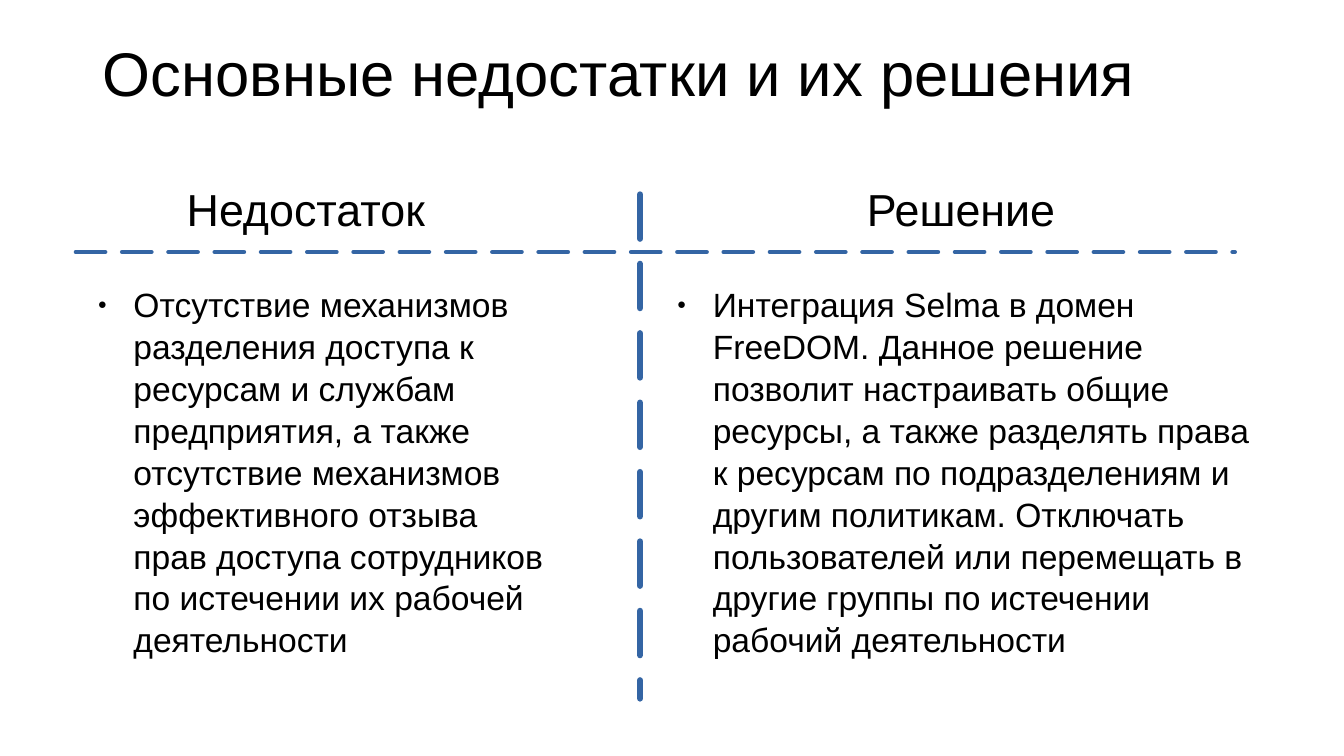
import pptx
import pptx.util
import pptx.dml.color
import pptx.enum.dml
import pptx.enum.shapes
import pptx.enum.text
import lxml.etree
from pptx.util import Cm


def color(value):
    return pptx.dml.color.RGBColor.from_string(value)


def fill_placeholder(box, text, size, left, top, width, height, anchor):
    box.left, box.top, box.width, box.height = Cm(left), Cm(top), Cm(width), Cm(height)
    frame = box.text_frame
    frame.text = text
    frame.word_wrap = True
    frame.auto_size = pptx.enum.text.MSO_AUTO_SIZE.NONE
    frame.vertical_anchor = anchor
    para = frame.paragraphs[0]
    para.alignment = pptx.enum.text.PP_ALIGN.LEFT
    para.space_before = pptx.util.Pt(0)
    font = para.runs[0].font
    font.name = "Arial"
    font.size = pptx.util.Pt(size)
    font.bold = False
    font.color.rgb = color("000000")
    return para


TOP = pptx.enum.text.MSO_ANCHOR.TOP
MIDDLE = pptx.enum.text.MSO_ANCHOR.MIDDLE

deck = pptx.Presentation()
deck.slide_width = Cm(33.87)
deck.slide_height = Cm(19.05)
page = deck.slides.add_slide(deck.slide_layouts.get_by_name("Comparison"))
title, left_heading, left_body, right_heading, right_body = list(page.placeholders)[:5]

fill_placeholder(title, "Основные недостатки и их решения", 44, 2.33, -0.03, 29.21, 3.68, MIDDLE)

columns = [
    (left_heading, "Недостаток", 4.45, 6.99, left_body, 1.91, 12.07,
     "Отсутствие механизмов разделения доступа к ресурсам и службам предприятия, "
     "а также отсутствие механизмов эффективного отзыва прав доступа сотрудников "
     "по истечении их рабочей деятельности"),
    (right_heading, "Решение", 21.59, 6.35, right_body, 16.51, 15.24,
     "Интеграция Selma в домен FreeDOM. Данное решение позволит настраивать общие "
     "ресурсы, а также разделять права к ресурсам по подразделениям и другим "
     "политикам. Отключать пользователей или перемещать в другие группы по "
     "истечении рабочий деятельности"),
]

for heading, name, name_left, name_width, body, body_left, body_width, text in columns:
    fill_placeholder(heading, name, 32, name_left, 4.45, name_width, 1.91, TOP)
    para = fill_placeholder(body, text, 24, body_left, 6.99, body_width, 8.74, TOP)
    para.line_spacing = 1.04
    settings = para._p.get_or_add_pPr()
    settings.set("marL", str(Cm(1.2)))
    settings.set("indent", str(Cm(-0.9)))
    for tag, name, value in [("buSzPct", "val", "45000"),
                             ("buFont", "typeface", "Arial"),
                             ("buChar", "char", "●")]:
        mark = lxml.etree.SubElement(settings, pptx.oxml.ns.qn("a:" + tag))
        mark.set(name, value)

dividers = [
    (16.13, 4.9, 16.13, 17.6, 4.5),
    (1.91, 6.35, 31.12, 6.35, 3),
]

for start_x, start_y, end_x, end_y, weight in dividers:
    divider = page.shapes.add_connector(
        pptx.enum.shapes.MSO_CONNECTOR.STRAIGHT,
        Cm(start_x), Cm(start_y), Cm(end_x), Cm(end_y))
    divider.line.color.rgb = color("3465A4")
    divider.line.width = pptx.util.Pt(weight)
    divider.line.dash_style = pptx.enum.dml.MSO_LINE.LONG_DASH
    divider.line._get_or_add_ln().set("cap", "rnd")
    lxml.etree.SubElement(divider._element.spPr, pptx.oxml.ns.qn("a:effectLst"))

deck.save("out.pptx")
